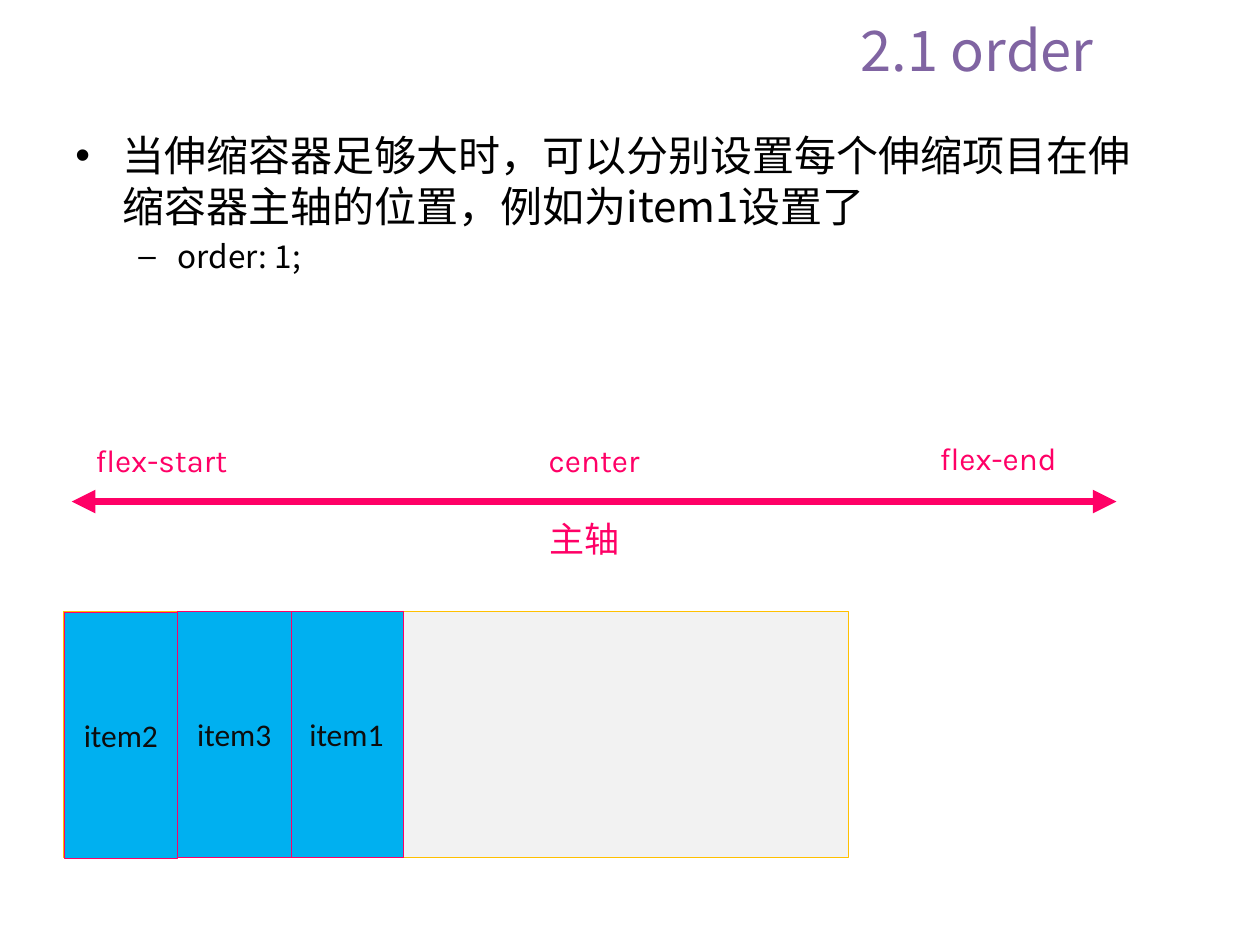
from dataclasses import dataclass

import lxml.etree
import pptx
import pptx.dml.color
import pptx.enum.shapes
import pptx.enum.text
import pptx.oxml.ns
import pptx.util

Pt = pptx.util.Pt
Color = pptx.dml.color.RGBColor.from_string
Anchor = pptx.enum.text.MSO_ANCHOR
Align = pptx.enum.text.PP_ALIGN
qn = pptx.oxml.ns.qn


@dataclass(frozen=True)
class Theme:
    title_color: str = "8064A2"
    text_color: str = "000000"
    item_text_color: str = "0D0D0D"
    axis_color: str = "FF0066"
    item_fill: str = "00B0F0"
    container_fill: str = "F2F2F2"
    container_line: str = "FFC000"
    heading_font: str = "Noto Sans CJK SC"
    axis_font: str = "Noto Sans CJK JP"
    label_font: str = "Karla"
    item_font: str = "Calibri"
    title_size: float = 32
    body_size: float = 24
    axis_size: float = 20
    small_size: float = 18
    leading: float = 1.2
    border: float = 0.25
    axis_width: float = 4.5


@dataclass(frozen=True)
class Box:
    left: float
    top: float
    width: float
    height: float

    def lengths(self) -> tuple:
        return Pt(self.left), Pt(self.top), Pt(self.width), Pt(self.height)


@dataclass(frozen=True)
class TextStyle:
    font: str
    size: float
    color: str


@dataclass(frozen=True)
class Bullet:
    text: str
    mark: str
    level: int
    margin: float
    hanging: float
    size: float


@dataclass(frozen=True)
class Label:
    text: str
    box: Box
    style: TextStyle


@dataclass(frozen=True)
class Tile:
    box: Box
    fill: str
    line: str
    text: str = ""


THEME = Theme()
LABEL_STYLE = TextStyle(THEME.label_font, THEME.small_size, THEME.axis_color)
AXIS_STYLE = TextStyle(THEME.axis_font, THEME.axis_size, THEME.axis_color)
ITEM_STYLE = TextStyle(THEME.item_font, THEME.small_size, THEME.item_text_color)

BULLETS = [
    Bullet("当伸缩容器足够大时，可以分别设置每个伸缩项目在伸缩容器主轴的位置，例如为item1设置了",
           "•", 0, 27, 27, THEME.body_size),
    Bullet("order:\u00a01;".replace("\u00a0", " "), "–", 1, 58.5, 22.5, THEME.small_size),
]
LABELS = [
    Label("flex-start", Box(36, 248.4, 112.5, 29), LABEL_STYLE),
    Label("flex-end", Box(514, 247.5, 113, 29), LABEL_STYLE),
    Label("center", Box(283, 248.4, 113, 29), LABEL_STYLE),
    Label("主轴", Box(280, 292.3, 108, 31.5), AXIS_STYLE),
]
TILE_TOP, TILE_WIDTH, TILE_HEIGHT = 349.2, 64.8, 140.4
TILES = [Tile(Box(36, TILE_TOP, 448.6, TILE_HEIGHT), THEME.container_fill, THEME.container_line)] + [
    Tile(Box(left, top, TILE_WIDTH, TILE_HEIGHT), THEME.item_fill, THEME.axis_color, text)
    for text, left, top in (
        ("item1", 165.6, TILE_TOP),
        ("item2", 36.7, TILE_TOP + 0.7),
        ("item3", 101.5, TILE_TOP),
    )
]


def add_run(paragraph, text: str, style: TextStyle) -> None:
    run = paragraph.add_run()
    run.text = text
    run.font.name = style.font
    run.font.size = Pt(style.size)
    run.font.color.rgb = Color(style.color)
    latin = run.font._element.find(qn("a:latin"))
    east_asian = lxml.etree.Element(qn("a:ea"), typeface=style.font)
    latin.addnext(east_asian)


def add_title(slide, text: str, box: Box) -> None:
    title = slide.shapes.title
    title.left, title.top, title.width, title.height = box.lengths()
    frame = title.text_frame
    frame.auto_size = pptx.enum.text.MSO_AUTO_SIZE.NONE
    frame.word_wrap = False
    frame.vertical_anchor = Anchor.TOP
    paragraph = frame.paragraphs[0]
    paragraph.alignment = Align.LEFT
    paragraph.line_spacing = Pt(THEME.title_size * THEME.leading)
    add_run(paragraph, text, TextStyle(THEME.heading_font, THEME.title_size, THEME.title_color))


def add_bullets(slide, bullets: list[Bullet], box: Box) -> None:
    frame = slide.shapes.add_textbox(*box.lengths()).text_frame
    frame.word_wrap = True
    for index, bullet in enumerate(bullets):
        paragraph = frame.add_paragraph() if index else frame.paragraphs[0]
        paragraph.level = bullet.level
        properties = paragraph._p.get_or_add_pPr()
        properties.set("marL", str(Pt(bullet.margin)))
        properties.set("indent", str(-Pt(bullet.hanging)))
        lxml.etree.SubElement(properties, qn("a:buFont"), typeface="Arial")
        lxml.etree.SubElement(properties, qn("a:buChar"), char=bullet.mark)
        paragraph.line_spacing = Pt(bullet.size * THEME.leading)
        paragraph.space_before = Pt(bullet.size * 0.2 if index else 0)
        add_run(paragraph, bullet.text, TextStyle(THEME.heading_font, bullet.size, THEME.text_color))


def add_tile(slide, tile: Tile) -> None:
    kind = pptx.enum.shapes.MSO_SHAPE.ROUNDED_RECTANGLE
    shape = slide.shapes.add_shape(kind, *tile.box.lengths())
    shape.adjustments[0] = 0
    shape.shadow.inherit = False
    shape.fill.solid()
    shape.fill.fore_color.rgb = Color(tile.fill)
    shape.line.color.rgb = Color(tile.line)
    shape.line.width = Pt(THEME.border)
    if tile.text:
        shape.text_frame.vertical_anchor = Anchor.MIDDLE
        paragraph = shape.text_frame.paragraphs[0]
        paragraph.alignment = Align.CENTER
        add_run(paragraph, tile.text, ITEM_STYLE)


def add_label(slide, label: Label) -> None:
    frame = slide.shapes.add_textbox(*label.box.lengths()).text_frame
    frame.word_wrap = True
    paragraph = frame.paragraphs[0]
    paragraph.alignment = Align.CENTER
    if label.style == AXIS_STYLE:
        paragraph.line_spacing = Pt(label.style.size * THEME.leading)
    add_run(paragraph, label.text, label.style)


def add_main_axis(slide, start: float, end: float, height: float) -> None:
    kind = pptx.enum.shapes.MSO_CONNECTOR.STRAIGHT
    axis = slide.shapes.add_connector(kind, Pt(start), Pt(height), Pt(end), Pt(height))
    axis.line.color.rgb = Color(THEME.axis_color)
    axis.line.width = Pt(THEME.axis_width)
    line = axis.line._get_or_add_ln()
    for tag in ("a:headEnd", "a:tailEnd"):
        lxml.etree.SubElement(line, qn(tag), type="triangle")
    lxml.etree.SubElement(axis._element.spPr, qn("a:effectLst"))


def main() -> None:
    presentation = pptx.Presentation()
    presentation.slide_width, presentation.slide_height = Pt(720), Pt(540)
    slide = presentation.slides.add_slide(presentation.slide_layouts[5])
    add_title(slide, "2.1 order", Box(484.6, 5, 152, 46))
    add_bullets(slide, BULLETS, Box(36, 70.6, 624.2, 97.2))
    for tile in TILES:
        add_tile(slide, tile)
    add_main_axis(slide, 41, 638, 286.6)
    for label in LABELS:
        add_label(slide, label)
    presentation.save("out.pptx")


if __name__ == "__main__":
    main()
